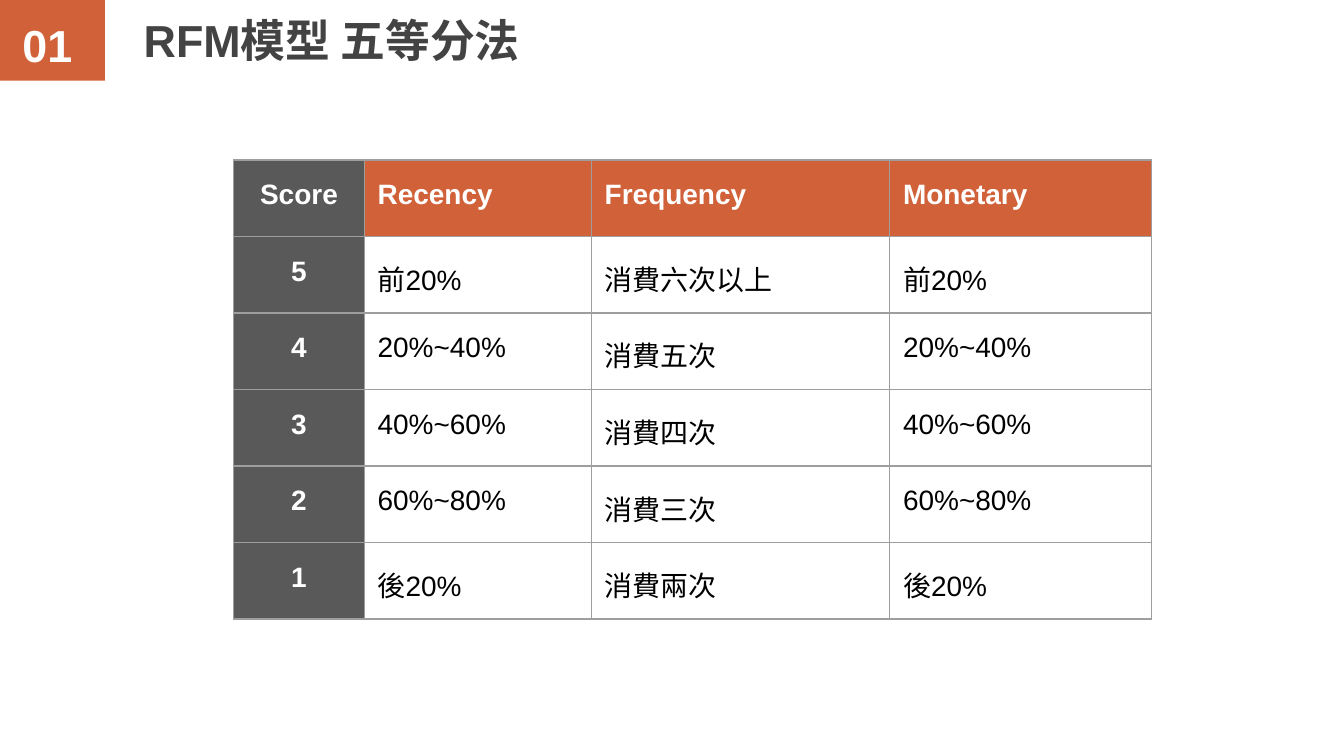
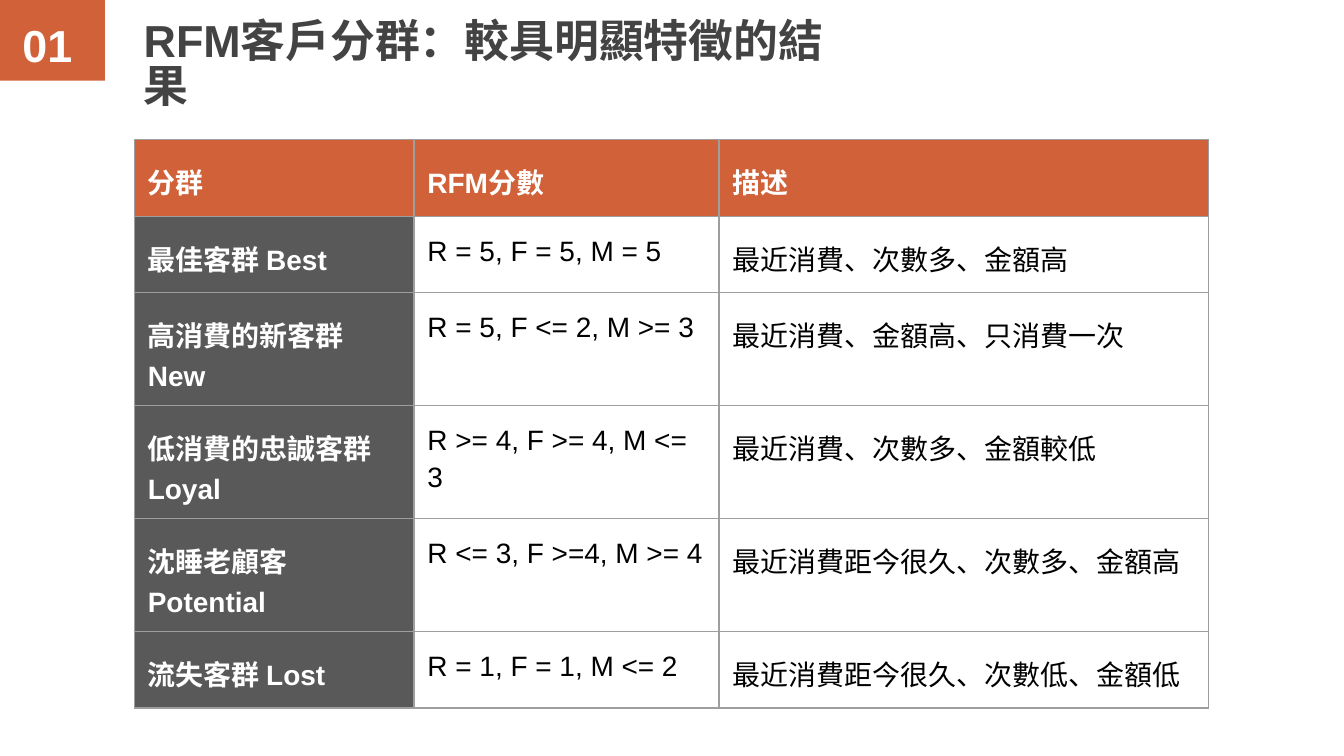
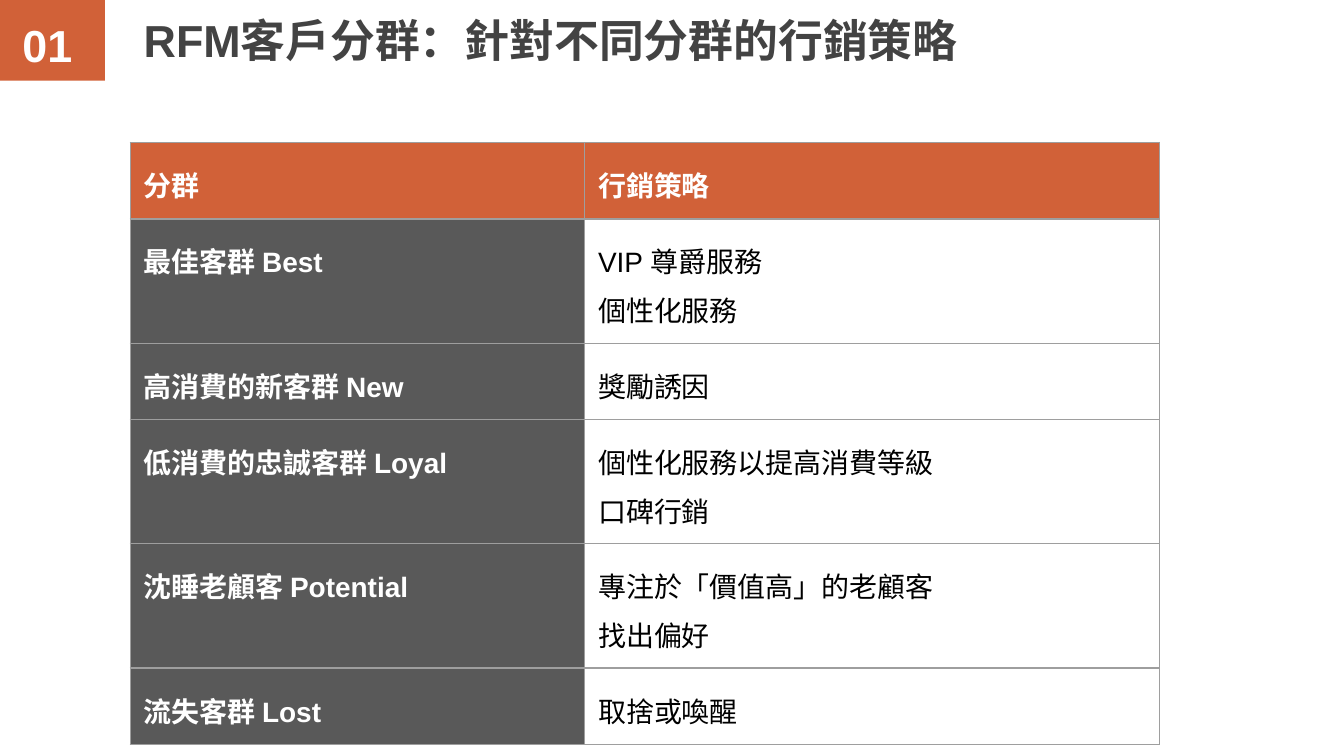
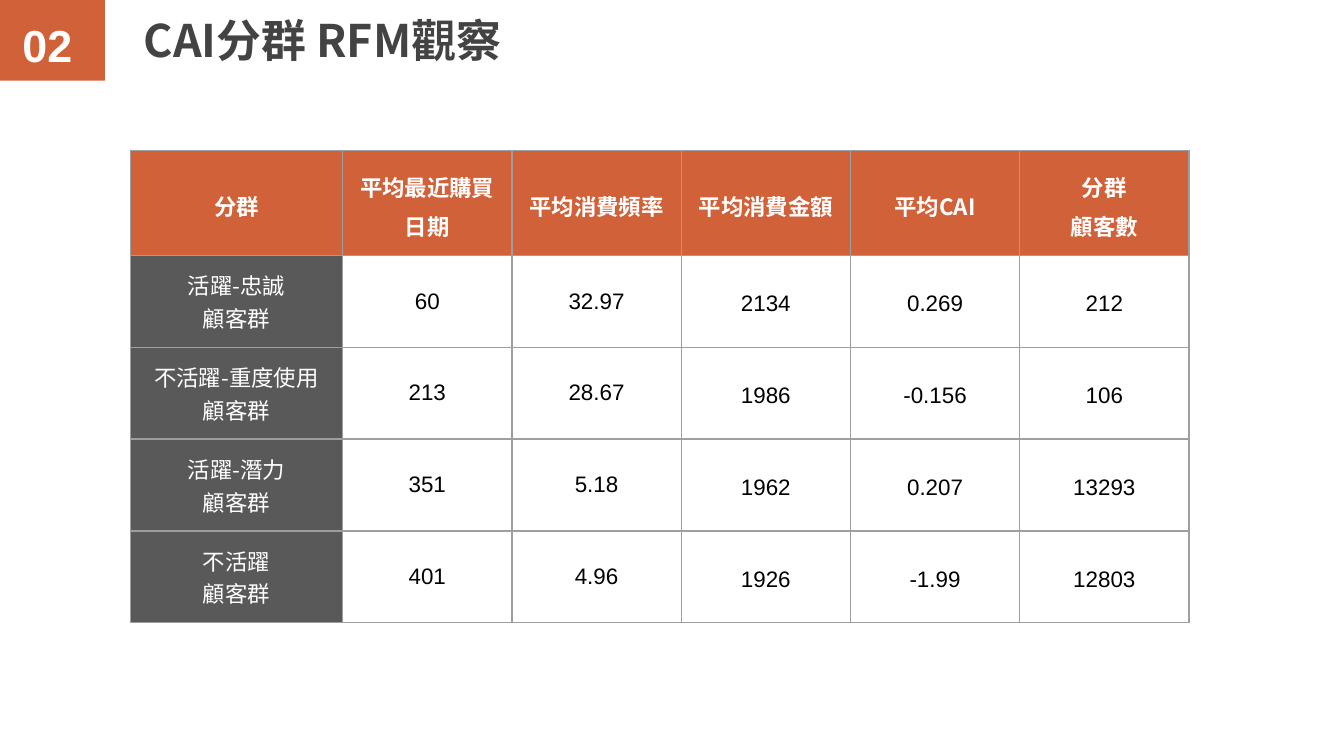
import dataclasses

import pptx
import pptx.dml.color
import pptx.enum.shapes
import pptx.enum.text
import pptx.oxml.ns
import pptx.util
from lxml import etree

Pt = pptx.util.Pt
Align = pptx.enum.text.PP_ALIGN
Anchor = pptx.enum.text.MSO_ANCHOR


@dataclasses.dataclass(frozen=True)
class Theme:
    accent: str = "D16138"
    label: str = "595959"
    title: str = "434343"
    white: str = "FFFFFF"
    black: str = "000000"
    rule: str = "9E9E9E"
    latin: str = "Arial"
    sans: str = "Noto Sans CJK SC"
    asian: str = "Noto Sans CJK TC"
    head: float = 24
    body: float = 15
    small: float = 12
    inset: float = 7.2
    row: float = 41


T = Theme()

# Each title is a list of (text, font) runs.
SLIDES = [
    dict(
        num="01", title=[("RFM", T.latin), ("模型 五等分法", T.sans)], wide=274.3,
        left=125.3, top=85.7, cols=[69.8, 121.7, 159.8, 140.4], style="score",
        rows=[
            ["Score", "Recency", "Frequency", "Monetary"],
            ["5", "前20%", "消費六次以上", "前20%"],
            ["4", "20%~40%", "消費五次", "20%~40%"],
            ["3", "40%~60%", "消費四次", "40%~60%"],
            ["2", "60%~80%", "消費三次", "60%~80%"],
            ["1", "後20%", "消費兩次", "後20%"],
        ],
    ),
    dict(
        num="01", title=[("RFM", T.latin), ("客戶分群：較具明顯特徵的結果", T.sans)],
        wide=401.8, left=72, top=74.9, cols=[149.8, 163.4, 262.1], style="plain",
        rows=[
            ["分群", "RFM分數", "描述"],
            ["最佳客群 Best", "R = 5, F = 5, M = 5", "最近消費、次數多、金額高"],
            ["高消費的新客群 New", "R = 5, F <= 2, M >= 3", "最近消費、金額高、只消費一次"],
            ["低消費的忠誠客群\nLoyal", "R >= 4, F >= 4, M <= 3", "最近消費、次數多、金額較低"],
            ["沈睡老顧客\nPotential", "R <= 3, F >=4, M >= 4", "最近消費距今很久、次數多、金額高"],
            ["流失客群 Lost", "R = 1, F = 1, M <= 2", "最近消費距今很久、次數低、金額低"],
        ],
    ),
    dict(
        num="01", title=[("RFM", T.latin), ("客戶分群：針對不同分群的行銷策略", T.sans)],
        wide=480.2, left=69.8, top=76.3, cols=[243.4, 308.2], style="plain",
        rows=[
            ["分群", "行銷策略"],
            ["最佳客群 Best", "VIP 尊爵服務\n個性化服務"],
            ["高消費的新客群 New", "獎勵誘因"],
            ["低消費的忠誠客群 Loyal", "個性化服務以提高消費等級\n口碑行銷"],
            ["沈睡老顧客 Potential", "專注於「價值高」的老顧客\n找出偏好"],
            ["流失客群 Lost", "取捨或喚醒"],
        ],
    ),
    dict(
        num="02", title=[("CAI分群 RFM觀察", T.sans)], wide=274.3,
        left=69.8, top=80.6, cols=[113.8] + [90.7] * 5, style="stats",
        rows=[
            ["分群", "平均最近購買日期", "平均消費頻率", "平均消費金額", "平均CAI", "分群\n顧客數"],
            ["活躍-忠誠\n顧客群", "60", "32.97", "2134", "0.269", "212"],
            ["不活躍-重度使用顧客群", "213", "28.67", "1986", "-0.156", "106"],
            ["活躍-潛力\n顧客群", "351", "5.18", "1962", "0.207", "13293"],
            ["不活躍\n顧客群", "401", "4.96", "1926", "-1.99", "12803"],
        ],
    ),
]


def rgb(code):
    return pptx.dml.color.RGBColor.from_string(code)


def ink(run, size, color, bold, face, asian=T.asian):
    font = run.font
    font.size, font.bold, font.name = Pt(size), bold, face
    font.color.rgb = rgb(color)
    props = run._r.get_or_add_rPr()
    etree.SubElement(props, pptx.oxml.ns.qn("a:ea")).set("typeface", asian)


def pad(part):
    """Give a text frame or a cell the shared inset on all sides."""
    part.margin_left = part.margin_right = Pt(T.inset)
    part.margin_top = part.margin_bottom = Pt(T.inset)


def frame(shape, anchor):
    text = shape.text_frame
    pad(text)
    text.word_wrap = True
    text.auto_size = pptx.enum.text.MSO_AUTO_SIZE.NONE
    text.vertical_anchor = anchor
    return text


def add_head(slide, data):
    band = slide.shapes.add_shape(
        pptx.enum.shapes.MSO_SHAPE.RECTANGLE, 0, 0, Pt(56.2), Pt(43.2))
    band.shadow.inherit = False
    band.fill.solid()
    band.fill.fore_color.rgb = rgb(T.accent)
    band.line.fill.background()

    box = slide.shapes.add_textbox(Pt(5), Pt(1.4), Pt(46.1), Pt(45.4))
    num = frame(box, Anchor.MIDDLE)
    num.text = data["num"]
    ink(num.paragraphs[0].runs[0], T.head, T.white, True, T.latin)

    title = slide.shapes.title
    title.left, title.top = Pt(69.8), Pt(5)
    title.width, title.height = Pt(data["wide"]), Pt(38.2)
    para = frame(title, Anchor.TOP).paragraphs[0]
    para.alignment = Align.LEFT
    para.line_spacing = 0.82
    for text, face in data["title"]:
        run = para.add_run()
        run.text = text
        ink(run, T.head, T.title, True, face, T.sans)


def edge(cell):
    """Draw the four borders; the fill has to be set after them."""
    props = cell._tc.get_or_add_tcPr()
    for side in "LRTB":
        line = etree.SubElement(props, pptx.oxml.ns.qn("a:ln" + side), w=str(Pt(0.75)))
        fill = etree.SubElement(line, pptx.oxml.ns.qn("a:solidFill"))
        etree.SubElement(fill, pptx.oxml.ns.qn("a:srgbClr"), val=T.rule)


def set_cell(cell, text, row, col, style):
    stats = style == "stats"
    top, side = row == 0, col == 0
    pad(cell)
    edge(cell)
    if top or side:
        dark = side and (not top or style == "score")
        cell.fill.solid()
        cell.fill.fore_color.rgb = rgb(T.label if dark else T.accent)
    else:
        cell.fill.background()
    cell.vertical_anchor = Anchor.MIDDLE if stats else Anchor.TOP
    cell.text_frame.text = text

    mid = stats or (style == "score" and side)
    tight = stats and not top and col < 3
    bold = top or (side and not stats)
    face = T.asian if stats and (top or side) else T.latin
    for para in cell.text_frame.paragraphs:
        para.alignment = Align.CENTER if mid else Align.LEFT
        para.line_spacing = 1.0 if tight else 1.2
        for run in para.runs:
            ink(run, T.small if stats else T.body,
                T.white if top or side else T.black, bold, face)


def add_grid(slide, data):
    rows, cols = data["rows"], data["cols"]
    tall = [T.row] * len(rows)
    if data["style"] == "stats":
        tall[0] = 45.4
    table = slide.shapes.add_table(
        len(rows), len(cols), Pt(data["left"]), Pt(data["top"]),
        Pt(sum(cols)), Pt(sum(tall))).table
    table.first_row = table.horz_banding = False
    for col, width in zip(table.columns, cols):
        col.width = Pt(width)
    for row, height in zip(table.rows, tall):
        row.height = Pt(height)
    for r, texts in enumerate(rows):
        for c, text in enumerate(texts):
            set_cell(table.cell(r, c), text, r, c, data["style"])


def main():
    deck = pptx.Presentation()
    deck.slide_width, deck.slide_height = Pt(720), Pt(405)
    for data in SLIDES:
        slide = deck.slides.add_slide(deck.slide_layouts[5])
        add_head(slide, data)
        add_grid(slide, data)
    deck.save("out.pptx")


if __name__ == "__main__":
    main()
